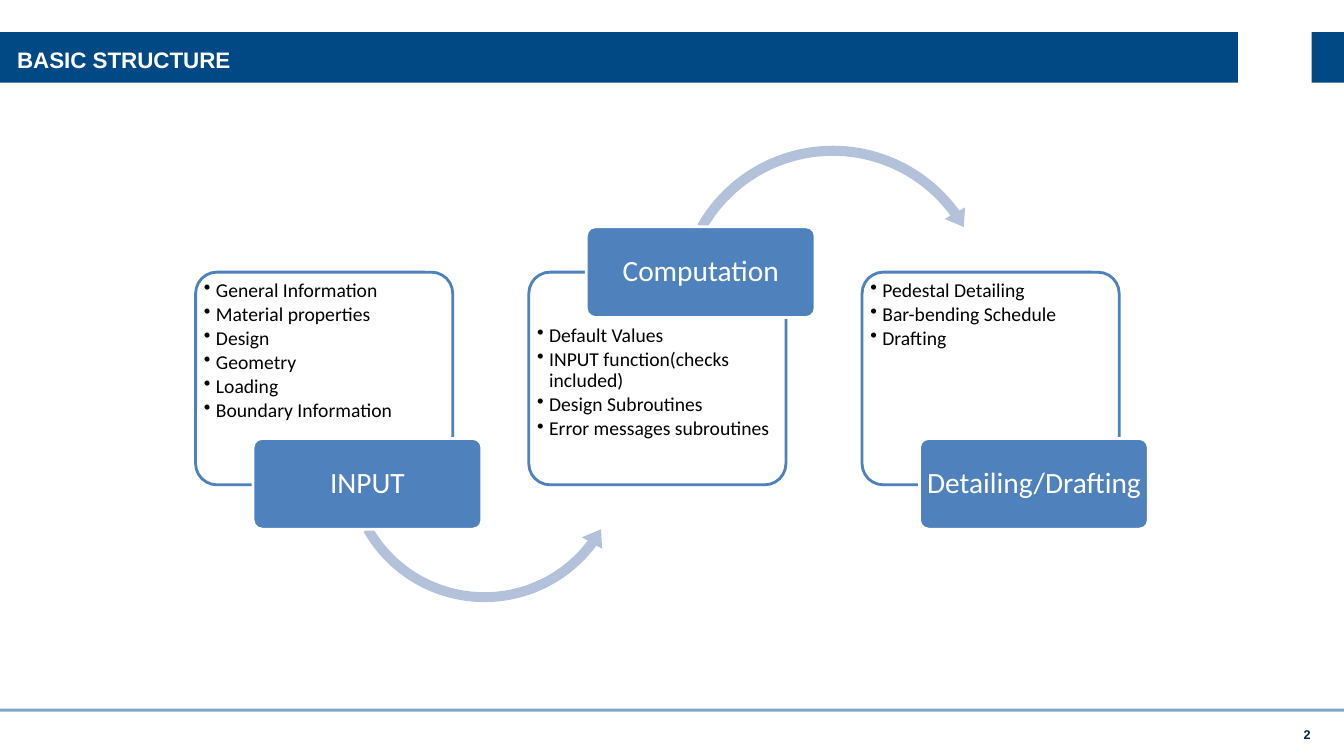
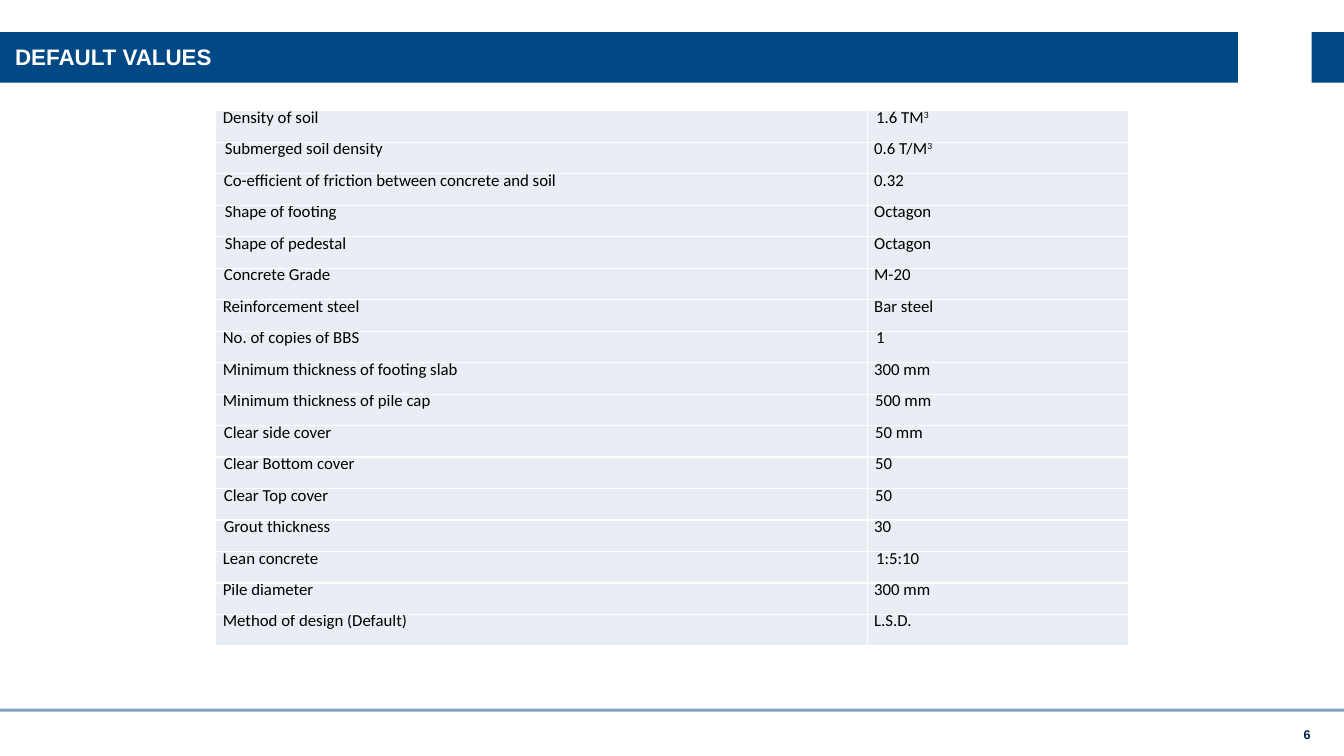
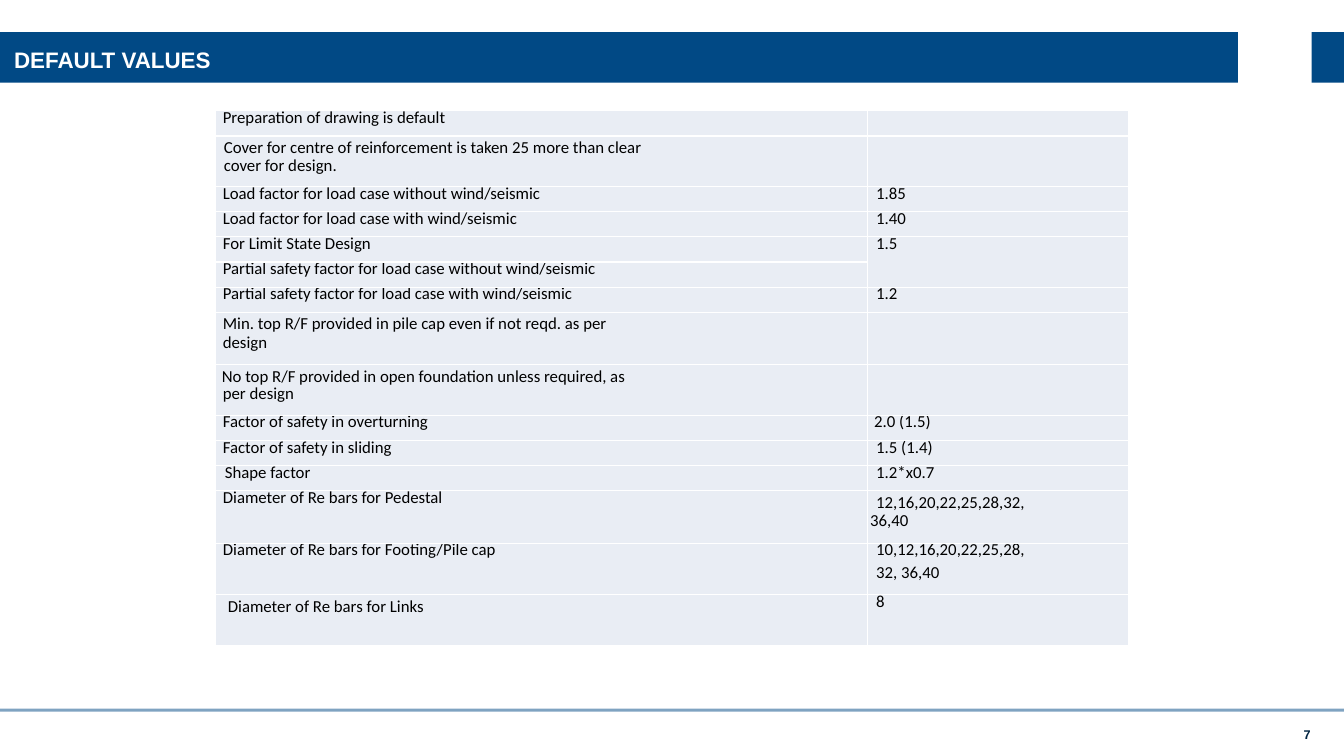
"""Build three slides on the structure and default values of a foundation design program."""
from dataclasses import dataclass

from lxml import etree
from pptx import Presentation
from pptx import util as u
from pptx.dml.color import RGBColor
from pptx.enum import shapes, text
from pptx.oxml import ns

GEOM = shapes.MSO_SHAPE
MIDDLE = text.MSO_ANCHOR.MIDDLE
TOP = text.MSO_ANCHOR.TOP
LEFT = text.PP_ALIGN.LEFT
CENTER = text.PP_ALIGN.CENTER
RIGHT = text.PP_ALIGN.RIGHT


@dataclass(frozen=True)
class Theme:
    """Colours, fonts and type sizes of the deck."""
    navy: str = "014985"
    blue: str = "4F81BD"
    arrow: str = "B3C1DB"
    cell: str = "E9EDF4"
    white: str = "FFFFFF"
    black: str = "000000"
    number: str = "002442"
    head_font: str = "Arial"
    body_font: str = "Calibri"
    title_size: float = 16
    label_size: float = 21
    list_size: float = 14
    cell_size: float = 12
    number_size: float = 9
    cell_spacing: u.Pt = u.Pt(12.2)


def assign(obj, **values):
    """Set each named attribute of an object."""
    for name, value in values.items():
        setattr(obj, name, value)


class Deck:
    """Hold the theme and the current slide, and draw each kind of element."""

    def __init__(self, theme):
        """Open an empty widescreen deck."""
        self.t = theme
        self.prs = Presentation()
        assign(self.prs, slide_width=u.Inches(13.33), slide_height=u.Inches(7.5))
        self.s = None

    def slide(self, title, number, left, top):
        """Start a slide with its band, title, rule and number."""
        t = self.t
        self.s = self.prs.slides.add_slide(self.prs.slide_layouts[6])
        self.shape(GEOM.RECTANGLE, (0, 0.32, 13.33, 0.5), t.navy)
        self.shape(GEOM.RECTANGLE, (12.28, 0.29, 0.73, 0.58), t.white)
        rule = self.shape(GEOM.RECTANGLE, (0, 7.03, 13.33, 0.03), t.navy)
        clr = rule.fill._xPr.find(".//" + ns.qn("a:srgbClr"))
        etree.SubElement(clr, ns.qn("a:alpha"), val="50000")
        self.caption(title, (left, top, 9.4, 1), t.title_size, t.white, LEFT)
        self.caption(number, (12.85, 7.21, 0.15, 0.15), t.number_size, t.number, RIGHT)

    def shape(self, geom, box, fill, line=None):
        """Add a flat preset shape."""
        sp = self.s.shapes.add_shape(geom, *map(u.Inches, box))
        sp.shadow.inherit = False
        sp.fill.solid()
        sp.fill.fore_color.rgb = RGBColor.from_string(fill)
        if line:
            sp.line.color.rgb = RGBColor.from_string(line)
            sp.line.width = u.Pt(2)
        else:
            sp.line.fill.background()
        return sp

    def frame(self, tf, anchor, left=0, top=0, right=0, bottom=0):
        """Set the wrapping, anchor and insets of a text frame."""
        assign(tf, word_wrap=True, vertical_anchor=anchor,
               margin_left=u.Inches(left), margin_top=u.Inches(top),
               margin_right=u.Inches(right), margin_bottom=u.Inches(bottom))

    def run(self, p, words, size, color, font, bold=False):
        """Add one styled run to a paragraph."""
        r = p.add_run()
        r.text = words
        assign(r.font, size=u.Pt(size), name=font, bold=bold)
        r.font.color.rgb = RGBColor.from_string(color)
        return r

    def caption(self, words, box, size, color, align):
        """Add a bold line of text in the heading font."""
        tf = self.s.shapes.add_textbox(*map(u.Inches, box)).text_frame
        self.frame(tf, MIDDLE)
        p = tf.paragraphs[0]
        p.alignment = align
        self.run(p, words, size, color, self.t.head_font, True)

    def list_box(self, left, items, inset):
        """Add an outlined box of bulleted items."""
        t = self.t
        sp = self.shape(GEOM.ROUNDED_RECTANGLE, (left, 2.7, 2.55, 2.11), t.white, t.blue)
        sp.adjustments[0] = 0.1
        tf = sp.text_frame
        self.frame(tf, TOP, 0.02, inset, 0.02)
        for i, item in enumerate(items):
            p = tf.add_paragraph() if i else tf.paragraphs[0]
            assign(p, alignment=LEFT, line_spacing=0.9, space_after=u.Pt(2))
            pPr = p._p.get_or_add_pPr()
            pPr.set("marL", str(u.Inches(0.12)))
            pPr.set("indent", str(u.Inches(-0.12)))
            etree.SubElement(pPr, ns.qn("a:buChar"), char="•")
            self.run(p, item, t.list_size, t.black, t.body_font)

    def label(self, left, top, words):
        """Add the filled name plate of a stage."""
        t = self.t
        sp = self.shape(GEOM.ROUNDED_RECTANGLE, (left, top, 2.27, 0.9), t.blue, t.white)
        sp.adjustments[0] = 0.1
        self.frame(sp.text_frame, MIDDLE, 0.03, 0, 0.03)
        p = sp.text_frame.paragraphs[0]
        assign(p, alignment=CENTER, line_spacing=0.9)
        self.run(p, words, t.label_size, t.white, t.body_font)

    def arc(self, geom, box, width, angles, head):
        """Add a curved arrow, with thickness in percent and angles in degrees."""
        sp = self.shape(geom, box, self.t.arrow)
        values = [width / 100, *(a * 0.6 for a in angles), head / 100]
        for i, value in enumerate(values):
            sp.adjustments[i] = value

    def cell(self, cell, lines):
        """Fill a cell with lines of text, indent, spacing and space before."""
        t = self.t
        assign(cell, margin_left=0, margin_top=0, margin_right=0, margin_bottom=0)
        tcPr = cell._tc.get_or_add_tcPr()
        for side in ("lnL", "lnR", "lnT", "lnB"):
            ln = etree.SubElement(tcPr, ns.qn("a:" + side), w=str(u.Pt(1)))
            solid = etree.SubElement(ln, ns.qn("a:solidFill"))
            etree.SubElement(solid, ns.qn("a:srgbClr"), val=t.white)
        cell.fill.solid()
        cell.fill.fore_color.rgb = RGBColor.from_string(t.cell)
        tf = cell.text_frame
        if not lines:
            size = str(t.cell_size * 100)
            etree.SubElement(tf.paragraphs[0]._p, ns.qn("a:endParaRPr"), sz=size)
        for i, (words, indent, *gaps) in enumerate(lines):
            p = tf.add_paragraph() if i else tf.paragraphs[0]
            spacing, before = gaps or (t.cell_spacing, 0)
            assign(p, line_spacing=spacing, space_before=u.Pt(before))
            p._p.get_or_add_pPr().set("marL", str(u.Inches(indent)))
            base, _, power = words.partition("^")
            self.run(p, base, t.cell_size, t.black, t.body_font)
            if power:
                r = self.run(p, power, t.cell_size, t.black, t.body_font)
                r._r.get_or_add_rPr().set("baseline", "30000")

    def table(self, rows, merge=None):
        """Add a two-column table from rows of height, left lines and right lines."""
        box = (2.14, 1.1, 9.05, 5.31)
        tbl = self.s.shapes.add_table(len(rows), 2, *map(u.Inches, box)).table
        assign(tbl, first_row=False, horz_banding=False)
        for col, width in zip(tbl.columns, (6.46, 2.59)):
            col.width = u.Inches(width)
        for i, (height, *cells) in enumerate(rows):
            tbl.rows[i].height = u.Inches(height)
            for j, lines in enumerate(cells):
                self.cell(tbl.cell(i, j), lines)
        if merge:
            first, last = merge
            tbl.cell(first, 1).merge(tbl.cell(last, 1))


STAGES = [
    ("INPUT", 4.35, 0.02,
     ["General Information", "Material properties", "Design", "Geometry", "Loading",
      "Boundary Information"],
     (GEOM.LEFT_CIRCULAR_ARROW, (3.36, 3.15, 2.89, 2.89), 3.4, (7.03, 36.62, 150.41), 4)),
    ("Computation", 2.25, 0.47,
     ["Default Values", "INPUT function(checks included)", "Design Subroutines",
      "Error messages subroutines"],
     (GEOM.CIRCULAR_ARROW, (6.65, 1.38, 3.22, 3.22), 3.1, (6.27, 324.14, 209.59), 3.6)),
    ("Detailing/Drafting", 4.35, 0.02,
     ["Pedestal Detailing", "Bar-bending Schedule", "Drafting"], None),
]

MATERIALS = [
    ("Density of soil", 0.07, "1.6 TM^3", 0.09),
    ("Submerged soil density", 0.09, "0.6 T/M^3", 0.07),
    ("Co-efficient of friction between concrete and soil", 0.08, "0.32", 0.07),
    ("Shape of footing", 0.09, "Octagon", 0.07),
    ("Shape of pedestal", 0.09, "Octagon", 0.07),
    ("Concrete Grade", 0.08, "M-20", 0.07),
    ("Reinforcement steel", 0.07, "Bar steel", 0.07),
    ("No. of copies of BBS", 0.07, "1", 0.09),
    ("Minimum thickness of footing slab", 0.07, "300 mm", 0.07),
    ("Minimum thickness of pile cap", 0.07, "500 mm", 0.08),
    ("Clear side cover", 0.08, "50 mm", 0.08),
    ("Clear Bottom cover", 0.08, "50", 0.08),
    ("Clear Top cover", 0.08, "50", 0.08),
    ("Grout thickness", 0.08, "30", 0.07),
    ("Lean concrete", 0.07, "1:5:10", 0.09),
    ("Pile diameter", 0.07, "300 mm", 0.07),
    ("Method of design (Default)", 0.07, "L.S.D.", 0.07),
]

TIGHT = Theme.cell_spacing
FACTORS = [
    (0.25, [("Preparation of drawing is default", 0.07)], []),
    (0.5, [("Cover for centre of reinforcement is taken 25 more than clear", 0.08, 1.07, 0.1),
           ("cover for design.", 0.08, TIGHT, 0.4)], []),
    (0.25, [("Load factor for load case without wind/seismic", 0.07)], [("1.85", 0.09)]),
    (0.25, [("Load factor for load case with wind/seismic", 0.07)], [("1.40", 0.09)]),
    (0.25, [("For Limit State Design", 0.07)], [("1.5", 0.09)]),
    (0.25, [("Partial safety factor for load case without wind/seismic", 0.07)], []),
    (0.25, [("Partial safety factor for load case with wind/seismic", 0.07)], [("1.2", 0.09)]),
    (0.52, [("Min. top R/F provided in pile cap even if not reqd. as per", 0.07, 1.07, 0),
            ("design", 0.07, u.Pt(12.6), 0.5)], []),
    (0.5, [("No top R/F provided in open foundation unless required, as", 0.06, 1.07, 0.1),
           ("per design", 0.07, TIGHT, 0.4)], []),
    (0.25, [("Factor of safety in overturning", 0.07)], [("2.0 (1.5)", 0.07)]),
    (0.25, [("Factor of safety in sliding", 0.07)], [("1.5 (1.4)", 0.09)]),
    (0.25, [("Shape factor", 0.09)], [("1.2*x0.7", 0.09)]),
    (0.52, [("Diameter of Re bars for Pedestal", 0.07)],
     [("12,16,20,22,25,28,32,", 0.09, 1.07, 0.3), ("36,40", 0.03, TIGHT, 0.7)]),
    (0.51, [("Diameter of Re bars for Footing/Pile cap", 0.07)],
     [("10,12,16,20,22,25,28,", 0.09), ("32, 36,40", 0.09, 1.07, 0.3)]),
    (0.51, [("Diameter of Re bars for Links", 0.12, 1.07, 1)], [("8", 0.09)]),
]


def main():
    """Build and save the deck."""
    deck = Deck(Theme())

    deck.slide("BASIC STRUCTURE", "2", 0.17, 0.09)
    for i, (name, top, inset, items, arrow) in enumerate(STAGES):
        left = 1.94 + i * 3.305
        deck.list_box(left, items, inset)
        if arrow:
            deck.arc(*arrow)
        deck.label(left + 0.57, top, name)

    deck.slide("DEFAULT VALUES", "6", 0.15, 0.06)
    height = 5.31 / len(MATERIALS)
    deck.table([(height, [(name, a)], [(value, b)]) for name, a, value, b in MATERIALS])

    deck.slide("DEFAULT VALUES", "7", 0.14, 0.09)
    deck.table(FACTORS, merge=(4, 5))

    deck.prs.save("out.pptx")


if __name__ == "__main__":
    main()
